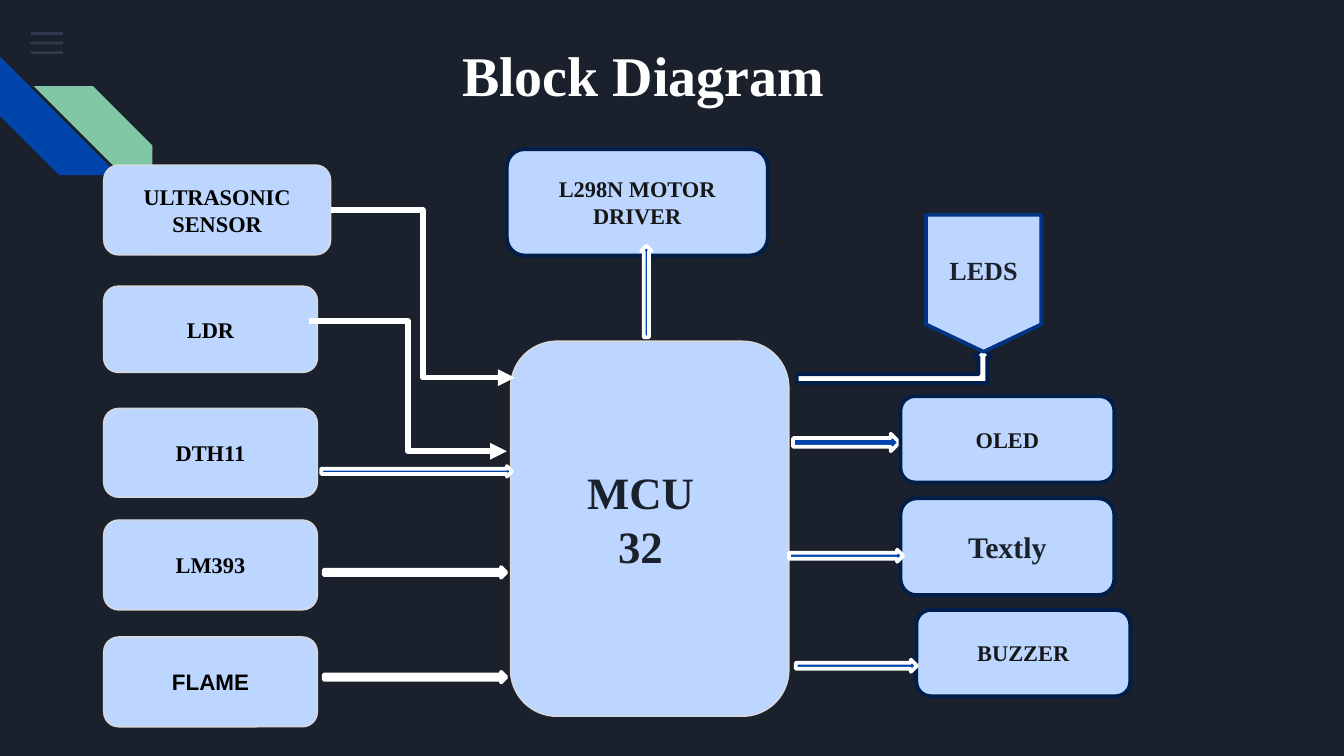
from dataclasses import dataclass
from typing import NamedTuple, Optional

from pptx import Presentation
from pptx.dml.color import RGBColor
from pptx.enum.shapes import MSO_CONNECTOR, MSO_SHAPE as Shape
from pptx.enum.text import MSO_ANCHOR, PP_ALIGN
from pptx.oxml.ns import qn
from pptx.util import Cm, Pt
from lxml.etree import SubElement


@dataclass(frozen=True)
class Theme:
    background: str = "1B212C"
    white: str = "FFFFFF"
    black: str = "000000"
    ink: str = "161616"
    block: str = "BCD6FF"
    blue: str = "0145AC"
    green: str = "82C7A5"
    menu: str = "55688B"
    pale_edge: str = "D9D9D9"
    navy_edge: str = "001E4B"
    led_edge: str = "013481"
    serif: str = "Times New Roman"
    sans: str = "Arial"
    title_size: int = 30
    hub_size: int = 24
    service_size: int = 16
    led_size: int = 14
    label_size: int = 12
    thin: float = 0.75
    outline: float = 2
    elbow: float = 3


THEME = Theme()


class Area(NamedTuple):
    """Left, top, width and height in centimetres."""
    left: float
    top: float
    width: float
    height: float


@dataclass(frozen=True)
class Block:
    area: Area
    label: str = ""
    size: int = THEME.label_size
    color: str = THEME.ink
    font: str = THEME.serif
    edge: str = THEME.navy_edge
    edge_width: float = THEME.outline
    kind: Shape = Shape.ROUNDED_RECTANGLE


@dataclass(frozen=True)
class BlockArrow:
    area: Area
    fill: str = THEME.blue
    edge: str = THEME.white
    kind: Shape = Shape.RIGHT_ARROW
    rotation: int = 0


def sensor(top: float, height: float, label: str, width: float = 4.04,
           font: str = THEME.serif) -> Block:
    return Block(Area(1.96, top, width, height), label, color=THEME.black, font=font,
                 edge=THEME.pale_edge, edge_width=THEME.thin)


ULTRASONIC = sensor(3.12, 1.7, "ULTRASONIC SENSOR", width=4.29)
HUB = Block(Area(9.65, 6.45, 5.26, 7.09), edge=THEME.pale_edge, edge_width=THEME.thin)
BACK_BLOCKS = [
    HUB,
    sensor(5.41, 1.63, "LDR"),
    sensor(7.72, 1.68, "DTH11"),
    sensor(9.83, 1.7, "LM393"),
    sensor(12.04, 1.7, "FLAME", font=THEME.sans),
    Block(Area(9.58, 2.82, 4.93, 2.01), "L298N MOTOR DRIVER"),
    Block(Area(17.02, 9.42, 4.04, 1.83), "Textly", THEME.service_size, THEME.background),
    Block(Area(17.32, 11.53, 4.04, 1.63), "BUZZER"),
]
FRONT_BLOCKS = [
    Block(Area(17.02, 7.49, 4.04, 1.63), "OLED"),
    Block(Area(17.5, 4.06, 2.18, 2.59), "LEDS", THEME.led_size, THEME.background,
          edge=THEME.led_edge, kind=Shape.FLOWCHART_OFFPAGE_CONNECTOR),
]
BLOCK_ARROWS = [
    BlockArrow(Area(6.07, 8.81, 3.61, 0.2)),
    BlockArrow(Area(6.12, 10.72, 3.45, 0.2), fill=THEME.white),
    BlockArrow(Area(6.12, 12.7, 3.45, 0.2), fill=THEME.white),
    BlockArrow(Area(11.35, 5.41, 1.73, 0.2), rotation=270),
    BlockArrow(Area(15.06, 6.58, 3.68, 0.66), THEME.white, THEME.navy_edge,
               Shape.BENT_UP_ARROW),
    BlockArrow(Area(14.99, 8.2, 2.01, 0.33)),
    BlockArrow(Area(14.91, 10.39, 2.16, 0.23)),
    BlockArrow(Area(15.04, 12.47, 2.29, 0.23)),
]


def rgb(color: str) -> RGBColor:
    return RGBColor.from_string(color)


def add_shape(slide, kind: Shape, area: Area, fill: str,
              edge: Optional[str] = None, edge_width: float = THEME.outline):
    shape = slide.shapes.add_shape(kind, *map(Cm, area))
    shape.shadow.inherit = False
    shape.fill.solid()
    shape.fill.fore_color.rgb = rgb(fill)
    if edge:
        shape.line.color.rgb = rgb(edge)
        shape.line.width = Pt(edge_width)
    else:
        shape.line.fill.background()
    return shape


def write(shape, text: str, size: int, color: str, font: str = THEME.serif,
          align: PP_ALIGN = PP_ALIGN.CENTER) -> None:
    frame = shape.text_frame
    frame.word_wrap = True
    frame.vertical_anchor = MSO_ANCHOR.MIDDLE
    frame.text = text
    para = frame.paragraphs[0]
    para.alignment = align
    style = para.runs[0].font
    style.name, style.size, style.bold = font, Pt(size), True
    style.color.rgb = rgb(color)


def add_block(slide, block: Block):
    shape = add_shape(slide, block.kind, block.area, THEME.block,
                      block.edge, block.edge_width)
    if block.label:
        write(shape, block.label, block.size, block.color, block.font)
    return shape


def add_elbow(slide, start: tuple[float, float], end: tuple[float, float]):
    elbow = slide.shapes.add_connector(MSO_CONNECTOR.ELBOW, *map(Cm, start + end))
    elbow.line.color.rgb = rgb(THEME.white)
    elbow.line.width = Pt(THEME.elbow)
    SubElement(elbow.line._get_or_add_ln(), qn("a:tailEnd"), type="triangle")
    SubElement(elbow._element.spPr, qn("a:effectLst"))
    return elbow


def add_decoration(slide) -> None:
    """Draw the menu bars and the two diagonal stripes in the corner."""
    for row in range(3):
        bar = add_shape(slide, Shape.RECTANGLE, Area(0.58, 0.61 + 0.18 * row, 0.61, 0.05),
                        THEME.menu)
        color = bar._element.spPr.find(qn("a:solidFill"))[0]
        SubElement(color, qn("a:alpha"), val="36000")
    blue_stripe = add_shape(slide, Shape.DIAGONAL_STRIPE, Area(0, 1.07, 2.24, 2.24), THEME.blue)
    blue_stripe.rotation = 270
    green_stripe = add_shape(slide, Shape.DIAGONAL_STRIPE, Area(0.64, 1.63, 2.24, 2.24),
                             THEME.green)
    green_stripe._element.spPr.xfrm.set("flipH", "1")


def add_title(slide, area: Area, text: str) -> None:
    title = slide.shapes.title
    title.left, title.top, title.width, title.height = map(Cm, area)
    write(title, text, THEME.title_size, THEME.white, align=PP_ALIGN.LEFT)


def main() -> None:
    deck = Presentation()
    deck.slide_width, deck.slide_height = Cm(25.4), Cm(14.29)
    slide = deck.slides.add_slide(deck.slide_layouts.get_by_name("Title Only"))
    slide.background.fill.solid()
    slide.background.fill.fore_color.rgb = rgb(THEME.background)

    add_decoration(slide)
    add_title(slide, Area(8.48, 0.51, 9.32, 1.78), "Block Diagram")
    for block in BACK_BLOCKS:
        add_block(slide, block)
    ultrasonic_box = add_block(slide, ULTRASONIC)
    hub_label = slide.shapes.add_textbox(*map(Cm, Area(10.34, 8.94, 3.53, 1.73)))
    write(hub_label, "MCU 32", THEME.hub_size, THEME.background)

    for arrow in BLOCK_ARROWS:
        shape = add_shape(slide, arrow.kind, arrow.area, arrow.fill, arrow.edge)
        shape.rotation = arrow.rotation
    add_elbow(slide, (6.25, 3.97), (9.73, 7.14)).begin_connect(ultrasonic_box, 3)
    add_elbow(slide, (5.84, 6.07), (9.58, 8.53))
    for block in FRONT_BLOCKS:
        add_block(slide, block)
    deck.save("out.pptx")


if __name__ == "__main__":
    main()
